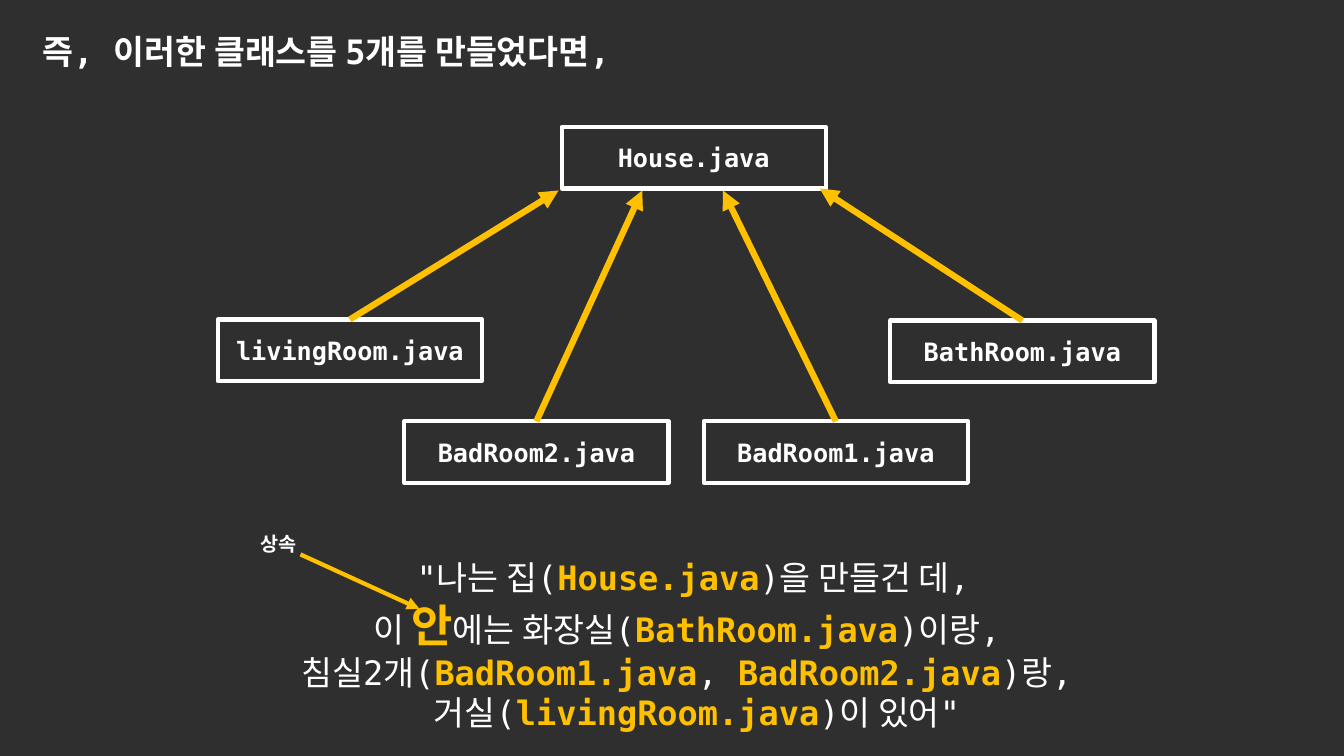
from dataclasses import dataclass
from typing import NamedTuple

from lxml import etree
from pptx import Presentation
from pptx.dml.color import RGBColor
from pptx.enum import shapes, text
from pptx.oxml import ns
from pptx.util import Inches, Pt


@dataclass(frozen=True)
class Theme:
    """Colours, font and type sizes of the slide."""
    back: RGBColor = RGBColor(0x2F, 0x2F, 0x2F)
    ink: RGBColor = RGBColor(0xFF, 0xFF, 0xFF)
    gold: RGBColor = RGBColor(0xFF, 0xC0, 0x00)
    font: str = "DejaVu Sans Mono"
    body: int = 24
    big: int = 32
    label: int = 18
    note: int = 14


class Room(NamedTuple):
    """A class box and the point on the house its arrow reaches."""
    name: str
    left: float
    top: float
    tip: tuple[float, float]


class Run(NamedTuple):
    """A piece of the quote."""
    words: str
    gold: bool = False
    size: int | None = None


THEME = Theme()
ALIGN = text.PP_ALIGN
BOX_W, BOX_H = 2.62, 0.61
HOUSE = ("House.java", 5.57, 1.26)
ROOMS = [
    Room("BathRoom.java", 8.83, 3.18, (8.13, 1.87)),
    Room("BadRoom1.java", 6.98, 4.18, (7.17, 1.89)),
    Room("BadRoom2.java", 4.01, 4.18, (6.37, 1.89)),
    Room("livingRoom.java", 2.16, 3.17, (5.54, 1.89)),
]
QUOTE = [
    [Run('"나는 집('), Run("House.java", True), Run(")을 만들건 데,")],
    [Run(" 이 "), Run("안", True, THEME.big), Run("에는 화장실("),
     Run("BathRoom.java", True), Run(")이랑, ")],
    [Run(" 침실2개("), Run("BadRoom1.java", True), Run(", "),
     Run("BadRoom2.java", True), Run(")랑, ")],
    [Run(" 거실("), Run("livingRoom.java", True), Run(')이 있어"')],
]


def style(font, size: int, bold: bool = False, color: RGBColor = THEME.ink) -> None:
    """Set the face, size, weight and colour of a font."""
    font.name, font.size, font.bold = THEME.font, Pt(size), bold
    font.color.rgb = color


def label(frame, words: str, size: int, align) -> None:
    """Write one bold line into a text frame."""
    para = frame.paragraphs[0]
    para.text, para.alignment = words, align
    style(para.font, size, True)


def box(slide, name: str, left: float, top: float):
    """Draw an outlined class box."""
    shape = slide.shapes.add_shape(
        shapes.MSO_SHAPE.RECTANGLE,
        Inches(left), Inches(top), Inches(BOX_W), Inches(BOX_H))
    shape.shadow.inherit = False
    shape.fill.background()
    shape.line.color.rgb, shape.line.width = THEME.ink, Pt(3)
    shape.text_frame.vertical_anchor = text.MSO_ANCHOR.MIDDLE
    label(shape.text_frame, name, THEME.label, ALIGN.CENTER)
    return shape


def arrow(slide, start: tuple[float, float], tip: tuple[float, float], width: float):
    """Draw a gold arrow from start to tip."""
    line = slide.shapes.add_connector(
        shapes.MSO_CONNECTOR.STRAIGHT, *(Inches(n) for n in start + tip))
    line.line.color.rgb, line.line.width = THEME.gold, Pt(width)
    etree.SubElement(line.line._get_or_add_ln(), ns.qn("a:tailEnd"), type="triangle")
    etree.SubElement(line._element.spPr, ns.qn("a:effectLst"))
    return line


def area(slide, left: float, top: float, width: float, height: float):
    """Add a wrapping text box and return its frame."""
    frame = slide.shapes.add_textbox(
        Inches(left), Inches(top), Inches(width), Inches(height)).text_frame
    frame.word_wrap = True
    return frame


def head(slide, words: str) -> None:
    """Place and format the title."""
    title = slide.shapes.title
    title.left, title.top = Inches(0.32), Inches(0.26)
    title.width, title.height = Inches(6.66), Inches(0.5)
    frame = title.text_frame
    frame.auto_size = text.MSO_AUTO_SIZE.NONE
    frame.vertical_anchor = text.MSO_ANCHOR.TOP
    label(frame, words, THEME.body, ALIGN.LEFT)


def quote(slide) -> None:
    """Write the sentence with the class names in gold."""
    frame = area(slide, 1.9, 5.48, 9.95, 1.85)
    for i, line in enumerate(QUOTE):
        para = frame.add_paragraph() if i else frame.paragraphs[0]
        para.alignment = ALIGN.CENTER
        for part in line:
            run = para.add_run()
            run.text = part.words
            style(run.font, part.size or THEME.body, part.gold,
                  THEME.gold if part.gold else THEME.ink)


def main() -> None:
    """Build and save the slide."""
    deck = Presentation()
    deck.slide_width, deck.slide_height = Inches(13.33), Inches(7.5)
    slide = deck.slides.add_slide(deck.slide_layouts.get_by_name("Title Only"))
    slide.background.fill.solid()
    slide.background.fill.fore_color.rgb = THEME.back

    head(slide, "즉, 이러한 클래스를 5개를 만들었다면,")
    box(slide, *HOUSE)
    cells = [box(slide, room.name, room.left, room.top) for room in ROOMS]
    for room, cell in zip(ROOMS, cells):
        line = arrow(slide, (room.left + BOX_W / 2, room.top), room.tip, 4.5)
        line.begin_connect(cell, 0)
    quote(slide)
    arrow(slide, (2.98, 5.5), (4.16, 6.04), 3)
    label(area(slide, 2.19, 5.23, 0.85, 0.34), "상속", THEME.note, ALIGN.RIGHT)
    deck.save("out.pptx")


main()
